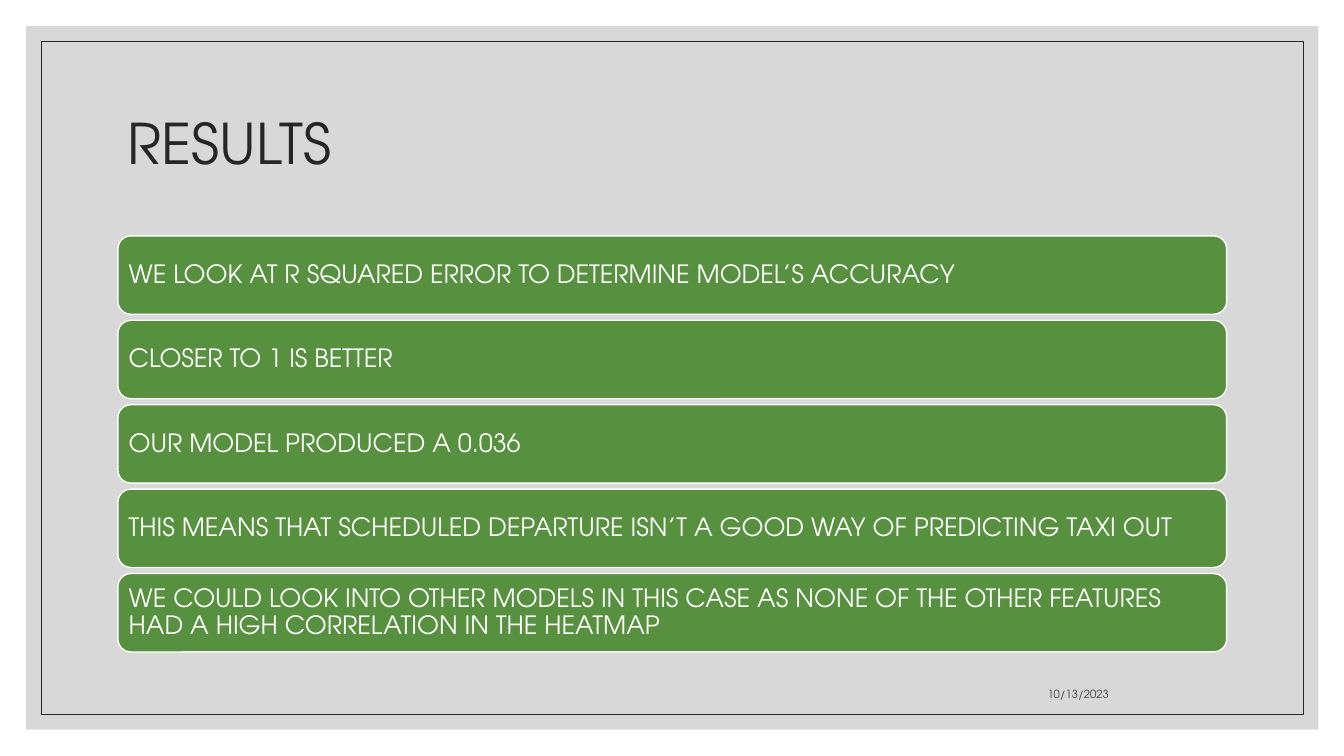
from lxml import etree
from pptx import Presentation
from pptx.dml.color import RGBColor
from pptx.enum import shapes, text
from pptx.oxml import ns
from pptx.util import Pt

COLORS = {
    "panel": "BFBFBF",
    "frame": "262626",
    "title": "262626",
    "date": "404040",
    "bar": "57903F",
    "white": "FFFFFF",
}
FONT = "TeX Gyre Adventor"
FINDINGS = [
    "WE LOOK AT R SQUARED ERROR TO DETERMINE MODEL’S ACCURACY",
    "CLOSER TO 1 IS BETTER",
    "OUR MODEL PRODUCED A 0.036",
    "THIS MEANS THAT SCHEDULED DEPARTURE ISN’T A GOOD WAY OF PREDICTING TAXI OUT",
    "WE COULD LOOK INTO OTHER MODELS IN THIS CASE AS NONE OF THE OTHER FEATURES "
    "HAD A HIGH CORRELATION IN THE HEATMAP",
]
LEFT, WIDTH = 84.24, 792
BAR_TOP, BAR_HEIGHT, BAR_STEP = 168.5, 56, 60.3


def add_panel(page, kind, bounds, fill=None, line=None, line_width=1):
    """Add a shadowless shape; a missing fill or line colour means none."""
    shape = page.shapes.add_shape(kind, *map(Pt, bounds))
    shape.shadow.inherit = False
    if fill:
        shape.fill.solid()
        shape.fill.fore_color.rgb = RGBColor.from_string(COLORS[fill])
    else:
        shape.fill.background()
    if line:
        shape.line.color.rgb = RGBColor.from_string(COLORS[line])
        shape.line.width = Pt(line_width)
    else:
        shape.line.fill.background()
    return shape


def write_text(shape, words, size, color, frame_format, para_format):
    frame = shape.text_frame
    frame.word_wrap = True
    for name, value in frame_format.items():
        setattr(frame, name, value)
    para = frame.paragraphs[0]
    for name, value in para_format.items():
        setattr(para, name, value)
    span = para.add_run()
    span.text = words
    for name, value in {"name": FONT, "size": Pt(size)}.items():
        setattr(span.font, name, value)
    span.font.color.rgb = RGBColor.from_string(COLORS[color])


deck = Presentation()
deck.slide_width, deck.slide_height = Pt(960), Pt(540)
page = deck.slides.add_slide(deck.slide_layouts[6])

# Translucent panel and thin frame
panel = add_panel(page, shapes.MSO_SHAPE.RECTANGLE, (18.72, 18.72, 923, 502.5), fill="panel")
panel_color = panel.fill._xPr.find(".//" + ns.qn("a:srgbClr"))
etree.SubElement(panel_color, ns.qn("a:alpha"), val="60000")
add_panel(page, shapes.MSO_SHAPE.RECTANGLE, (29.5, 29.5, 901.5, 481),
          line="frame", line_width=0.5)

# Title and date
title = page.shapes.add_textbox(Pt(LEFT), Pt(50.4), Pt(WIDTH), Pt(108))
write_text(title, "RESULTS", 40, "title",
           {"vertical_anchor": text.MSO_ANCHOR.MIDDLE},
           {"line_spacing": 0.9})
date = page.shapes.add_textbox(Pt(571.7), Pt(475.2), Pt(227.5), Pt(28.8))
write_text(date, "10/13/2023", 8, "date",
           {"vertical_anchor": text.MSO_ANCHOR.BOTTOM},
           {"alignment": text.PP_ALIGN.RIGHT, "space_after": Pt(6)})

# Stack of findings
bar_frame = {"vertical_anchor": text.MSO_ANCHOR.MIDDLE}
for side in ("left", "top", "right", "bottom"):
    bar_frame["margin_" + side] = Pt(5)
for index, finding in enumerate(FINDINGS):
    bar = add_panel(page, shapes.MSO_SHAPE.ROUNDED_RECTANGLE,
                    (LEFT, BAR_TOP + index * BAR_STEP, WIDTH, BAR_HEIGHT),
                    fill="bar", line="white")
    write_text(bar, finding, 18, "white", bar_frame,
               {"alignment": text.PP_ALIGN.LEFT, "line_spacing": 0.9})

deck.save("out.pptx")
